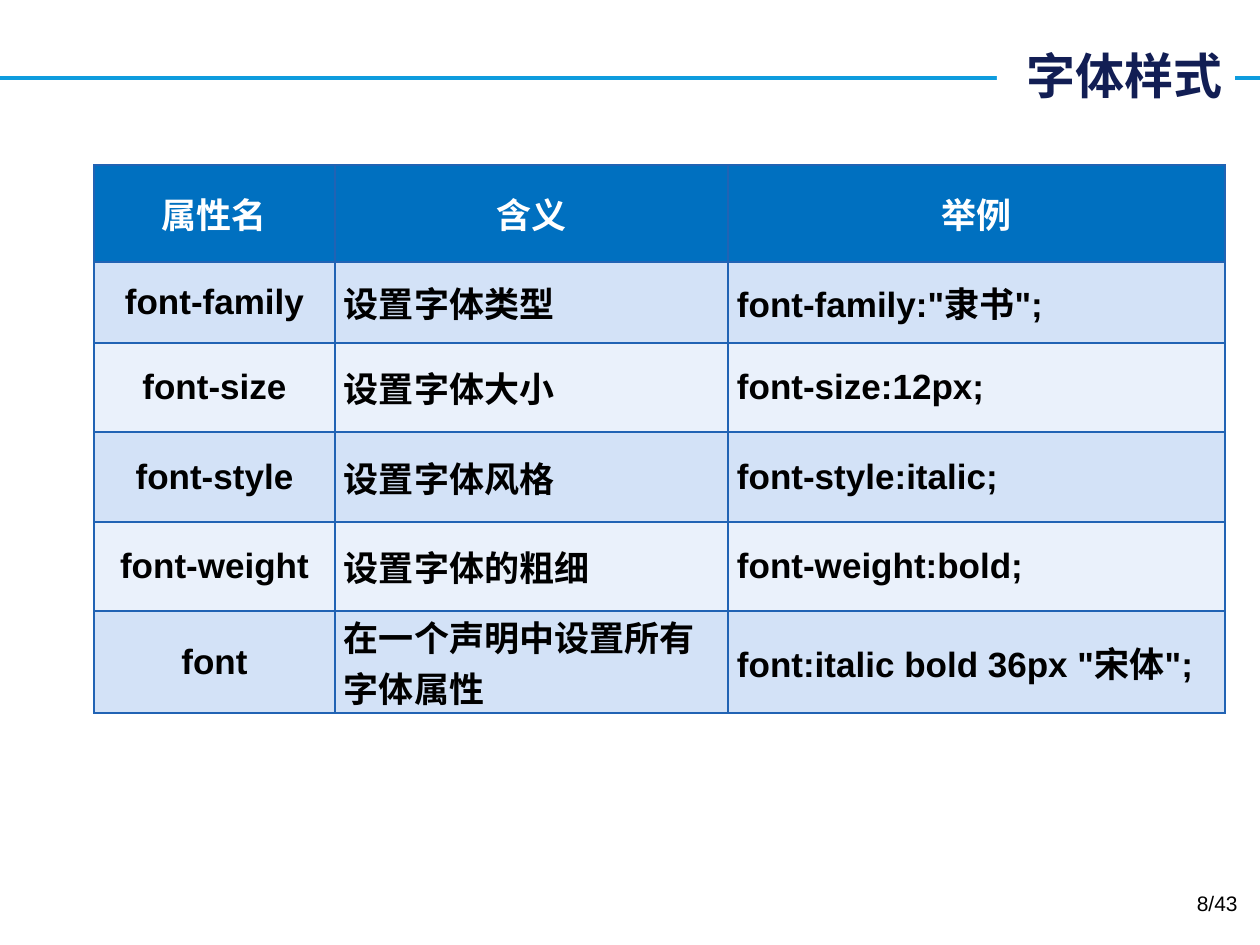
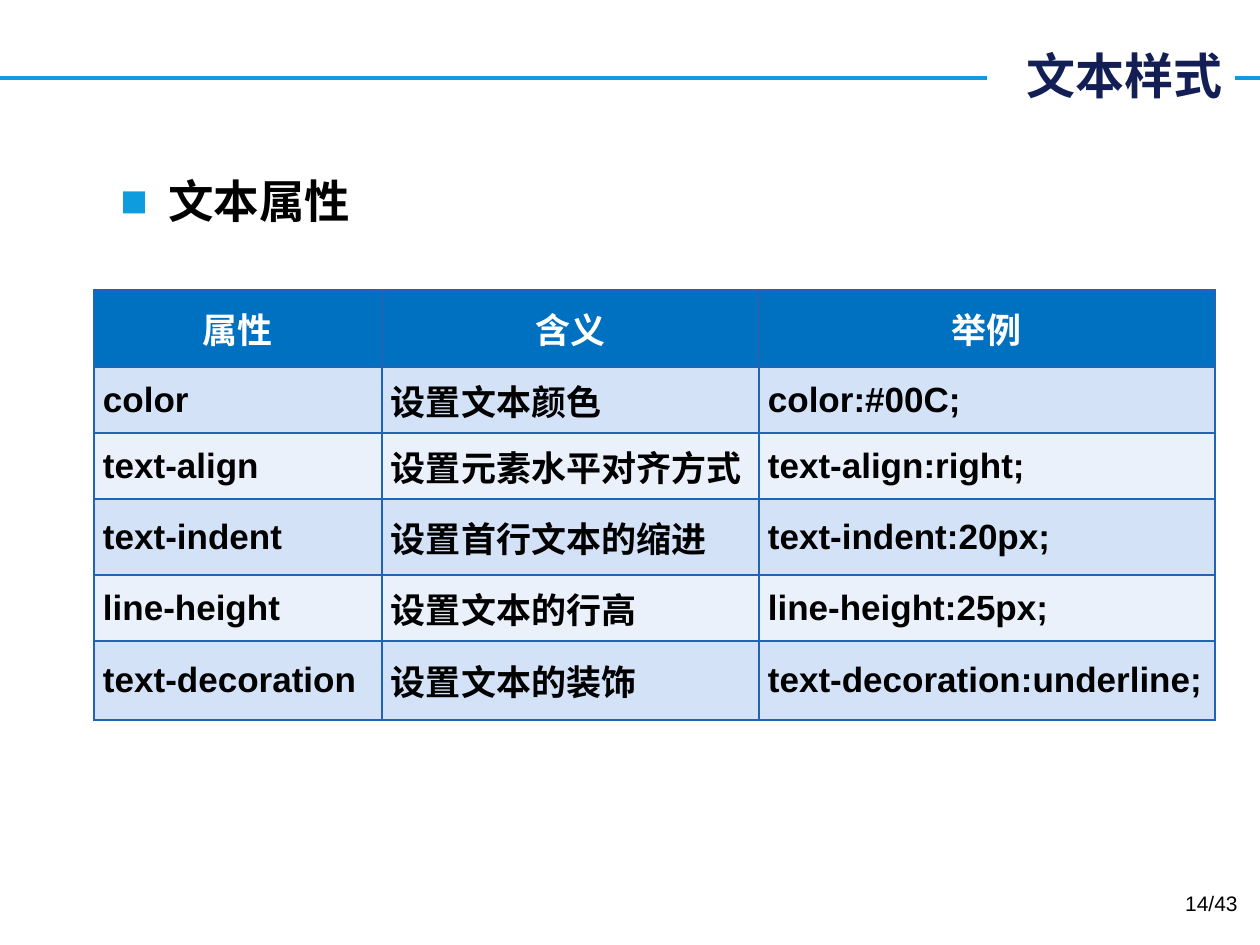
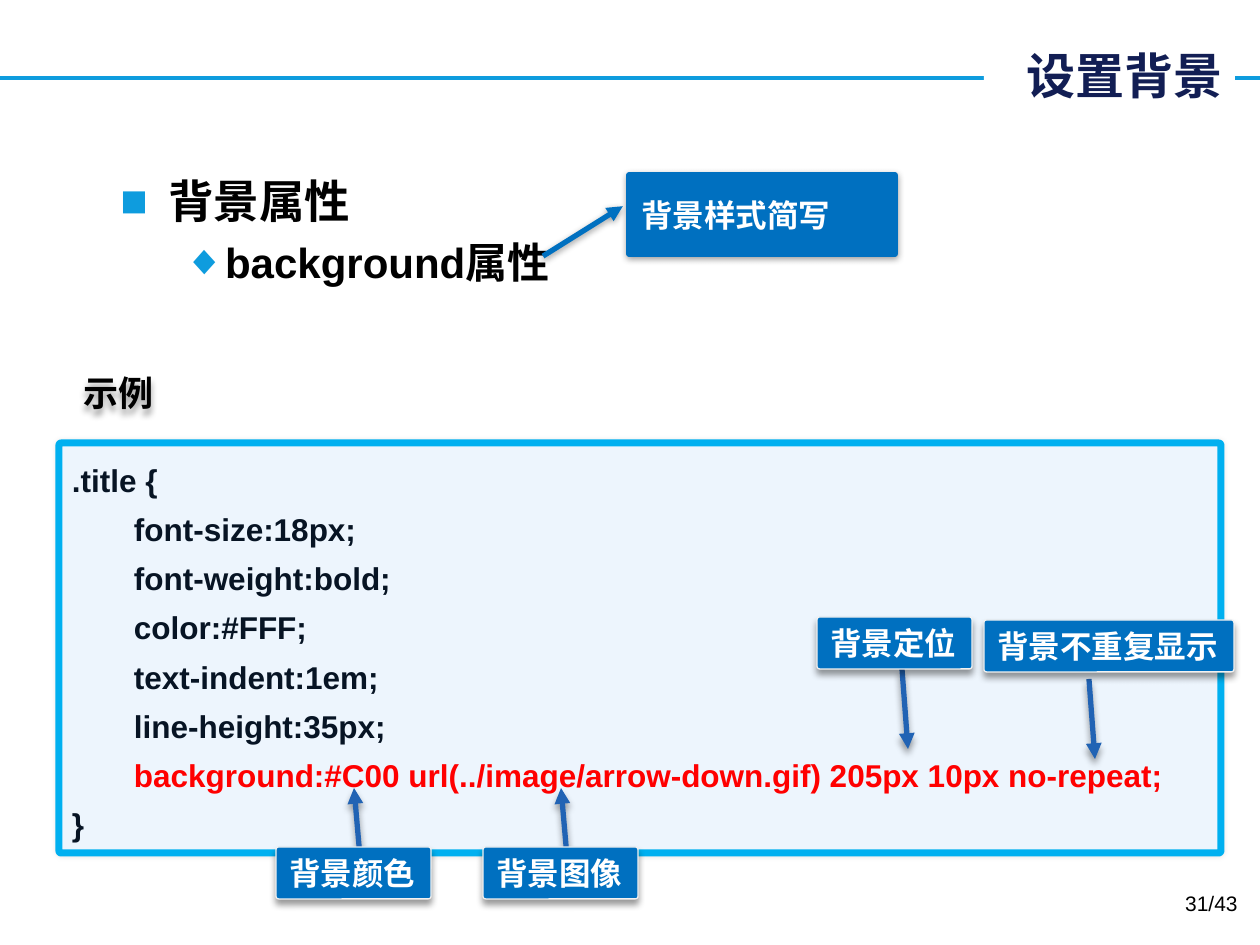
from lxml.etree import SubElement
from pptx import Presentation
from pptx.dml.color import RGBColor
from pptx.enum.shapes import MSO_CONNECTOR, MSO_SHAPE
from pptx.enum.text import MSO_ANCHOR as ANCHOR, MSO_AUTO_SIZE as FIT, PP_ALIGN as ALIGN
from pptx.oxml.ns import qn
from pptx.util import Pt

PX = 914400 / 126
ARIAL, CJK = "Arial", "Noto Sans CJK SC"

WHITE = RGBColor(0xFF, 0xFF, 0xFF)
BLACK = RGBColor(0, 0, 0)
NAVY = RGBColor(0x12, 0x1E, 0x54)
SKY = RGBColor(0x0E, 0x9C, 0xDE)
BLUE = RGBColor(0x00, 0x70, 0xC0)
GRID_BLUE = RGBColor(0x21, 0x63, 0xB4)
BANDS = RGBColor(0xD3, 0xE2, 0xF7), RGBColor(0xEA, 0xF1, 0xFB)
CODE_FILL = RGBColor(0xED, 0xF5, 0xFD)
CODE_EDGE = RGBColor(0x00, 0xB0, 0xF0)
CODE_INK = RGBColor(0x07, 0x14, 0x24)
LABEL_EDGE = RGBColor(0xF2, 0xF2, 0xF2)
RED = RGBColor(0xFF, 0, 0)

PAGE_TOTAL = 43
TITLE_RIGHT = 1235


def px(*values):
    return [round(v * PX) for v in values]


def add_run(p, text, size, color, bold=True, font=ARIAL):
    r = p.add_run()
    r.text = text
    r.font.size, r.font.bold, r.font.name = Pt(size), bold, font
    r.font.color.rgb = color
    SubElement(r._r.get_or_add_rPr(), qn("a:ea"), typeface=CJK)


def set_effects(sp, alpha=0, blur=4, dist=3):
    """Give a shape one soft downward shadow, or none; call after fill and line."""
    effects = SubElement(sp._element.spPr, qn("a:effectLst"))
    if alpha:
        shadow = SubElement(effects, qn("a:outerShdw"), blurRad=str(Pt(blur)),
                            dist=str(Pt(dist)), dir="5400000", rotWithShape="0")
        color = SubElement(shadow, qn("a:srgbClr"), val=str(BLACK))
        SubElement(color, qn("a:alpha"), val=str(alpha * 1000))


def add_line(slide, start, end, color, width):
    line = slide.shapes.add_connector(MSO_CONNECTOR.STRAIGHT, *px(*start, *end))
    line.line.color.rgb = color
    line.line.width = Pt(width)
    return line


def add_arrow(slide, start, dy):
    x, y = start
    dx = 6 if dy > 0 else -6
    line = add_line(slide, start, (x + dx, y + dy), GRID_BLUE, 3)
    SubElement(line.line._get_or_add_ln(), qn("a:tailEnd"), type="triangle")
    set_effects(line, alpha=40)


def add_box(slide, kind, box, fill, edge, width, adjustments):
    sp = slide.shapes.add_shape(kind, *px(*box))
    sp.fill.solid()
    sp.fill.fore_color.rgb = fill
    sp.line.color.rgb = edge
    sp.line.width = Pt(width)
    for i, value in enumerate(adjustments):
        sp.adjustments[i] = value
    sp.text_frame.paragraphs[0].alignment = ALIGN.LEFT
    return sp


def add_text_box(slide, box, wrap=True):
    sp = slide.shapes.add_textbox(*px(*box))
    sp.text_frame.word_wrap = wrap
    return sp


def add_rule_to_layout(slide):
    """Put the rule behind the titles of every slide that shares the layout."""
    rule = add_line(slide, (0, 78), (1260, 78), SKY, 2.25)
    set_effects(rule)
    slide.slide_layout.shapes._spTree.insert(2, rule._element)


def add_slide(prs, title, title_left, page):
    slide = prs.slides.add_slide(prs.slide_layouts[5])
    sp = slide.shapes.title
    sp.left, sp.top, sp.width, sp.height = px(title_left, 39, TITLE_RIGHT - title_left, 72)
    sp.fill.solid()
    sp.fill.fore_color.rgb = WHITE
    tf = sp.text_frame
    tf.auto_size, tf.vertical_anchor = FIT.SHAPE_TO_FIT_TEXT, ANCHOR.MIDDLE
    p = tf.paragraphs[0]
    p.alignment = ALIGN.RIGHT
    add_run(p, title, 28, NAVY, font=CJK)

    p = add_text_box(slide, (956, 884, 294, 50)).text_frame.paragraphs[0]
    p.alignment = ALIGN.RIGHT
    add_run(p, f"{page}/{PAGE_TOTAL}", 12, BLACK, bold=False)
    return slide


def add_bullets(slide, items):
    """Add one bullet per level: a heading, then a point under it."""
    styles = [("■", 48, -48, 26), ("◆", 102, -39, 24)]
    tf = add_text_box(slide, (108, 167, 1053, 709)).text_frame
    for level, (text, (mark, margin, indent, size)) in enumerate(zip(items, styles)):
        p = tf.add_paragraph() if level else tf.paragraphs[0]
        p.level = level
        pPr = p._p.get_or_add_pPr()
        margin, indent = px(margin, indent)
        pPr.set("marL", str(margin))
        pPr.set("indent", str(indent))
        SubElement(SubElement(pPr, qn("a:buClr")), qn("a:srgbClr"), val=str(SKY))
        SubElement(pPr, qn("a:buFont"), typeface=ARIAL)
        SubElement(pPr, qn("a:buChar"), char=mark)
        if level:
            p.space_before = Pt(5)
        add_run(p, text, size, BLACK)


def format_cell(cell, text, fill, color, centred):
    tcPr = cell._tc.get_or_add_tcPr()
    for side in ("lnL", "lnR", "lnT", "lnB"):
        ln = SubElement(tcPr, qn(f"a:{side}"), w=str(Pt(1)))
        SubElement(SubElement(ln, qn("a:solidFill")), qn("a:srgbClr"), val=str(GRID_BLUE))
    cell.fill.solid()
    cell.fill.fore_color.rgb = fill
    cell.vertical_anchor = ANCHOR.MIDDLE
    cell.margin_left, cell.margin_top, cell.margin_right, cell.margin_bottom = px(9, 0, 9, 0)
    p = cell.text_frame.paragraphs[0]
    p.alignment = ALIGN.CENTER if centred else ALIGN.LEFT
    add_run(p, text, 20, color)


def add_property_table(slide, top, widths, heights, rows, centre_names=False):
    box = px(94, top, sum(widths), sum(heights))
    table = slide.shapes.add_table(len(rows), len(widths), *box).table
    table.horz_banding = False
    for column, width in zip(table.columns, px(*widths)):
        column.width = width
    for row, height in zip(table.rows, px(*heights)):
        row.height = height
    for i, row in enumerate(rows):
        for j, text in enumerate(row):
            header = i == 0
            format_cell(table.cell(i, j), text,
                        BLUE if header else BANDS[(i - 1) % 2],
                        WHITE if header else BLACK,
                        header or (centre_names and j == 0))


def add_code(slide, box, lines):
    sp = add_box(slide, MSO_SHAPE.ROUNDED_RECTANGLE, box, CODE_FILL, CODE_EDGE, 4, [0.005])
    set_effects(sp, alpha=10, blur=3, dist=0)
    tf = sp.text_frame
    tf.word_wrap, tf.vertical_anchor = True, ANCHOR.TOP
    for i, text in enumerate(lines):
        p = tf.add_paragraph() if i else tf.paragraphs[0]
        tabs = SubElement(p._p.get_or_add_pPr(), qn("a:tabLst"))
        SubElement(tabs, qn("a:tab"), pos=str(px(62)[0]), algn="l")
        p.alignment, p.line_spacing = ALIGN.LEFT, 1.3
        add_run(p, text, 18, RED if "background" in text else CODE_INK)


def add_callout(slide, box, text):
    sp = add_box(slide, MSO_SHAPE.LINE_CALLOUT_1, box, BLUE, BLUE, 3,
                 [0.395, 1.023, 1.026, 1.323])
    sp._element.spPr.find(qn("a:xfrm")).set("flipH", "1")
    SubElement(sp.line._get_or_add_ln(), qn("a:headEnd"), type="triangle")
    set_effects(sp, alpha=40, dist=1)
    add_run(sp.text_frame.paragraphs[0], text, 18, WHITE, font=CJK)


def add_label(slide, left, top, width, text):
    sp = add_box(slide, MSO_SHAPE.ROUNDED_RECTANGLE, (left, top, width, 52),
                 BLUE, LABEL_EDGE, 0.75, [0.051])
    set_effects(sp, alpha=40)
    tf = sp.text_frame
    tf.word_wrap, tf.auto_size = False, FIT.SHAPE_TO_FIT_TEXT
    tf.vertical_anchor = ANCHOR.BOTTOM
    add_run(tf.paragraphs[0], text, 18, WHITE)


def add_example_heading(slide, text):
    sp = add_text_box(slide, (71, 365, 97, 55), wrap=False)
    set_effects(sp, alpha=40)
    sp.text_frame.vertical_anchor = ANCHOR.MIDDLE
    add_run(sp.text_frame.paragraphs[0], text, 20, BLACK, font=CJK)


def build_font_slide(prs):
    slide = add_slide(prs, "字体样式", 997, 8)
    add_rule_to_layout(slide)
    add_property_table(slide, 165, [241, 393, 497], [97, 81, 89, 90, 89, 102], [
        ("属性名", "含义", "举例"),
        ("font-family", "设置字体类型", 'font-family:"隶书";'),
        ("font-size", "设置字体大小", "font-size:12px;"),
        ("font-style", "设置字体风格", "font-style:italic;"),
        ("font-weight", "设置字体的粗细", "font-weight:bold;"),
        ("font", "在一个声明中设置所有字体属性", 'font:italic bold 36px "宋体";'),
    ], centre_names=True)


def build_text_slide(prs):
    slide = add_slide(prs, "文本样式", 987, 14)
    add_bullets(slide, ["文本属性"])
    add_property_table(slide, 290, [288, 377, 456], [77, 66, 66, 76, 66, 79], [
        ("属性", "含义", "举例"),
        ("color", "设置文本颜色", "color:#00C;"),
        ("text-align", "设置元素水平对齐方式", "text-align:right;"),
        ("text-indent", "设置首行文本的缩进", "text-indent:20px;"),
        ("line-height", "设置文本的行高", "line-height:25px;"),
        ("text-decoration", "设置文本的装饰", "text-decoration:underline;"),
    ])


def build_background_slide(prs):
    slide = add_slide(prs, "设置背景", 984, 31)
    add_bullets(slide, ["背景属性", "background属性"])
    add_example_heading(slide, "示例")
    add_code(slide, (59, 443, 1162, 410), [
        ".title {",
        "\tfont-size:18px;",
        "\tfont-weight:bold;",
        "\tcolor:#FFF;",
        "\ttext-indent:1em;",
        "\tline-height:35px;",
        "\tbackground:#C00 url(../image/arrow-down.gif) 205px 10px no-repeat;",
        "}",
    ])
    add_callout(slide, (629, 175, 266, 79), "背景样式简写")
    for text, left, top, width, arrow_start, dy in [
        ("背景颜色", 276, 847, 155, (360, 857), -69),
        ("背景图像", 483, 847, 155, (567, 857), -69),
        ("背景定位", 817, 617, 155, (902, 669), 80),
        ("背景不重复显示", 984, 620, 250, (1089, 679), 80),
    ]:
        add_arrow(slide, arrow_start, dy)
        add_label(slide, left, top, width, text)


def main():
    prs = Presentation()
    prs.slide_width, prs.slide_height = px(1260, 945)
    build_font_slide(prs)
    build_text_slide(prs)
    build_background_slide(prs)
    prs.save("out.pptx")


if __name__ == "__main__":
    main()
